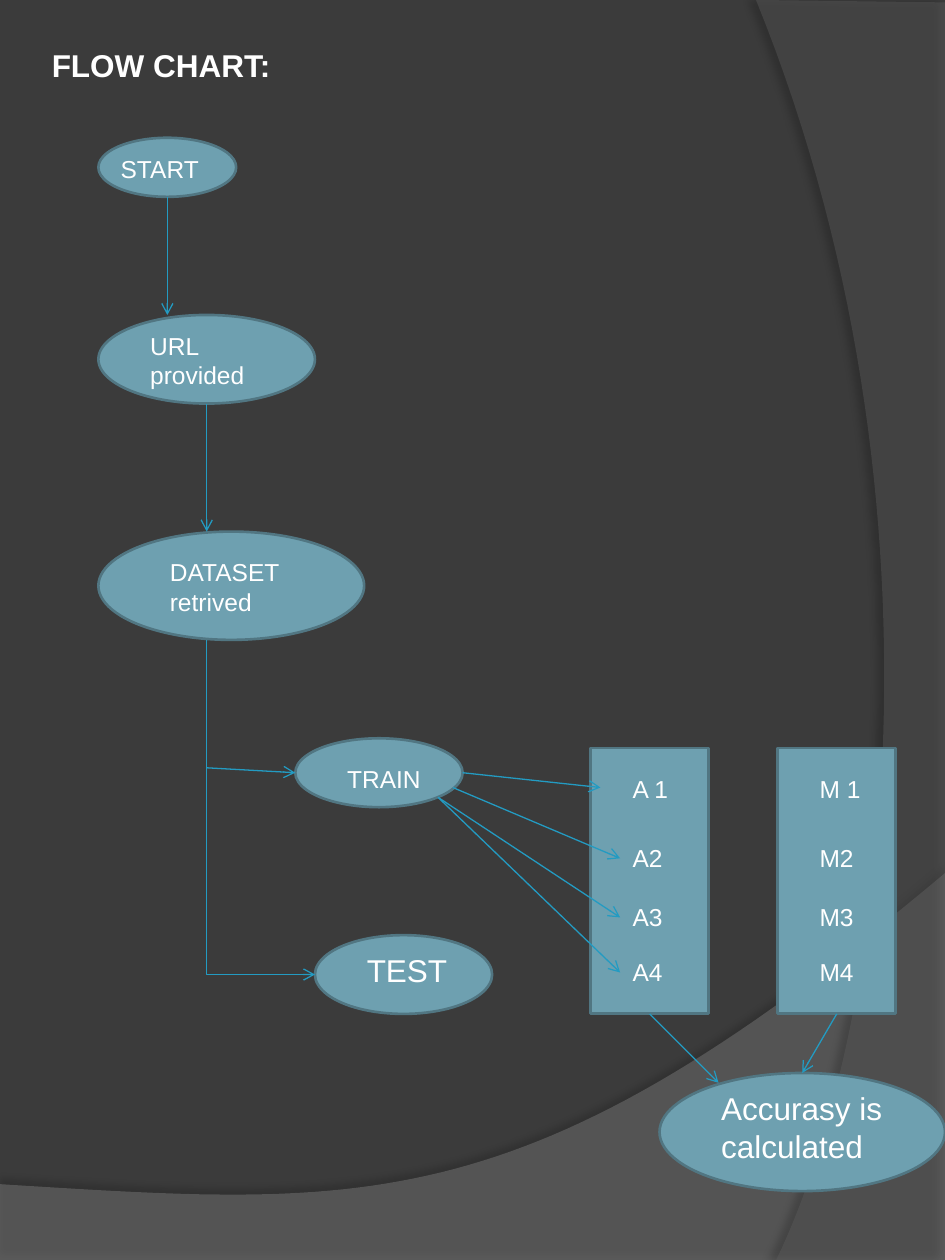
from lxml import etree
from pptx import Presentation
from pptx.dml.color import RGBColor
from pptx.enum.shapes import MSO_CONNECTOR, MSO_SHAPE
from pptx.enum.text import MSO_AUTO_SIZE
from pptx.oxml.ns import qn
from pptx.util import Inches, Pt

STRAIGHT, ELBOW = MSO_CONNECTOR.STRAIGHT, MSO_CONNECTOR.ELBOW
OVAL, RECTANGLE = MSO_SHAPE.FLOWCHART_CONNECTOR, MSO_SHAPE.RECTANGLE
GROW = MSO_AUTO_SIZE.SHAPE_TO_FIT_TEXT
BOTTOM = 2
WIDTH, HEIGHT = 7.5, 10
COLUMNS = 96  # square cells, so the page has 128 rows


def color(code):
    return RGBColor.from_string(code)


def cells(*counts):
    return [Inches(count * WIDTH / COLUMNS) for count in counts]


def add_node(parent, tag, **attributes):
    node = etree.SubElement(parent, qn(tag))
    for name, value in attributes.items():
        node.set(name, str(value))
    return node


def curve(start, pull, push, end, steps=60):
    """Points along a cubic Bezier curve."""
    points = []
    for step in range(steps + 1):
        t = step / steps
        weights = ((1 - t) ** 3, 3 * t * (1 - t) ** 2, 3 * t * t * (1 - t), t ** 3)
        points.append(tuple(sum(weight * point[axis] for weight, point
                                in zip(weights, (start, pull, push, end)))
                            for axis in (0, 1)))
    return points


class FlowPage:
    """The slide and its style; all lengths are in grid cells."""
    font, text, fill, outline, link = "Arial", "FFFFFF", "6EA0B0", "517682", "239BC2"

    def __init__(self, page, backdrop):
        self.page = page
        self.shapes = page.shapes
        page.background.fill.solid()
        page.background.fill.fore_color.rgb = color(backdrop)

    def swoosh(self, points, fill, opacity, shade, distance, angle):
        """Translucent backdrop area with a soft shadow."""
        start, *rest = [cells(*point) for point in points]
        builder = self.shapes.build_freeform(*start, scale=1.0)
        builder.add_line_segments(rest, close=True)
        area = builder.convert_to_shape()
        area.fill.solid()
        area.fill.fore_color.rgb = color(fill)
        area.line.fill.background()
        properties = area._element.spPr
        tone = properties.find(qn("a:solidFill"))[0]
        add_node(tone, "a:alpha", val=opacity * 1000)
        effects = add_node(properties, "a:effectLst")
        shadow = add_node(effects, "a:outerShdw", blurRad=Pt(4), dist=Pt(distance),
                          dir=angle * 60000, algn="ctr", rotWithShape=0)
        black = add_node(shadow, "a:srgbClr", val="000000")
        add_node(black, "a:alpha", val=shade * 1000)

    def node(self, kind, *place):
        shape = self.shapes.add_shape(kind, *cells(*place))
        shape.shadow.inherit = False
        shape.fill.solid()
        shape.fill.fore_color.rgb = color(self.fill)
        shape.line.color.rgb = color(self.outline)
        shape.line.width = Pt(1.5)
        return shape

    def label(self, words, *place, size=14, bold=False, wrap=True):
        box = self.shapes.add_textbox(*cells(*place))
        box.text_frame.word_wrap = wrap
        box.text_frame.auto_size = GROW
        para = box.text_frame.paragraphs[0]
        para.text = words
        para.font.name, para.font.size, para.font.bold = self.font, Pt(size), bold
        para.font.color.rgb = color(self.text)

    def arrow(self, *ends, kind=STRAIGHT, source=None):
        link = self.shapes.add_connector(kind, *cells(*ends))
        if source is not None:
            link.begin_connect(source, BOTTOM)
        link.line.color.rgb = color(self.link)
        link.line.width = Pt(0.75)
        add_node(link.line._get_or_add_ln(), "a:tailEnd", type="arrow")
        add_node(link._element.spPr, "a:effectLst")
        return link

    def corner_arrow(self, x1, y1, x2, y2):
        """Arrow that goes straight down, then right."""
        link = self.arrow(x1, y1, x2, y2, kind=ELBOW)
        run, drop = x2 - x1, y2 - y1
        link.left, link.top, link.width, link.height = cells(
            (x1 + x2 - drop) / 2, (y1 + y2 - run) / 2, drop, run)
        properties = link._element.spPr
        frame = properties.find(qn("a:xfrm"))
        frame.set("rot", str(270 * 60000))
        frame.set("flipH", "1")
        properties.find(qn("a:prstGeom")).set("prst", "bentConnector2")


def main():
    deck = Presentation()
    deck.slide_width, deck.slide_height = Inches(WIDTH), Inches(HEIGHT)
    flow = FlowPage(deck.slides.add_slide(deck.slide_layouts[6]), "3B3B3B")

    flow.swoosh([(0, 128), (96, 128)]
                + curve((96, 88.7), (53.6, 124.4), (37.5, 122.6), (0, 120.3)),
                "7F7F7F", 45, 35, 3.5, 270)
    flow.swoosh([(96, 0.25), (96, 128)]
                + curve((78.85, 128), (89.73, 105.7), (97.66, 51.3), (76.8, 0)),
                "5E5E5E", 40, 45, 4, 180)

    for place in ((10, 14, 14, 6), (10, 32, 22, 9), (10, 54, 27, 11),
                  (30, 75, 17, 7), (32, 95, 18, 8), (67, 109, 29, 12)):
        flow.node(OVAL, *place)

    label_rows = (78, 85, 91, 96.6)
    columns = []
    for left, text_left, names in ((60, 63, ("A 1", "A2", "A3", "A4")),
                                   (79, 82, ("M 1", "M2", "M3", "M4"))):
        columns.append(flow.node(RECTANGLE, left, 76, 12, 27))
        for name, row in zip(names, label_rows):
            flow.label(name, text_left, row, 9, 4.3)
    algorithms, measures = columns

    for ends in ((17, 20, 17, 32), (21, 41, 21, 54), (21, 78, 30, 78.5),
                 (47, 78.5, 61, 80), (46, 80, 63, 87.2),
                 (44.5, 81, 63, 93.2), (44.5, 81, 63, 98.8)):
        flow.arrow(*ends)
    flow.corner_arrow(21, 65, 32, 99)
    flow.arrow(66, 103, 73, 110, source=algorithms)
    flow.arrow(85, 103, 81.5, 109, source=measures)

    flow.label("START", 11, 15, 13, 4.3)
    flow.label("URL provided", 14, 33, 13, 7.3)
    flow.label("DATASET retrived", 16, 56, 14, 7.3)
    flow.label("TRAIN", 34, 77, 11, 4.3)
    flow.label("TEST", 36, 96, 11, 5.2, size=18)
    flow.label("Accurasy is calculated", 72, 110, 24, 9, size=18)
    flow.label("FLOW CHART:", 4, 4, 25, 5.2, size=18, bold=True, wrap=False)

    deck.save("out.pptx")


if __name__ == "__main__":
    main()
